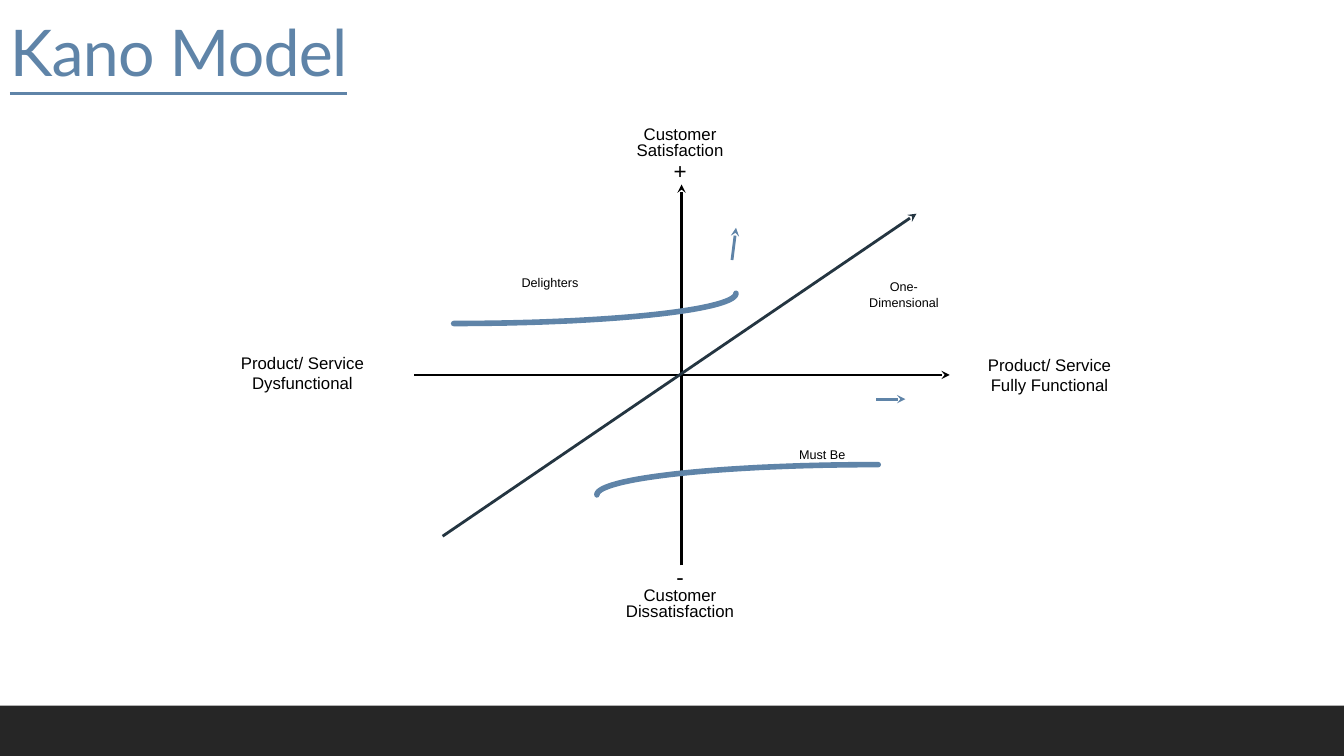
from math import cos, pi, sin

from lxml import etree
from pptx import Presentation
from pptx.dml.color import RGBColor
from pptx.enum.shapes import MSO_CONNECTOR, MSO_SHAPE
from pptx.enum.text import MSO_ANCHOR, PP_ALIGN
from pptx.oxml.ns import qn
from pptx.util import Pt

PX = 9144  # 100 px to the inch
RECTANGLE = MSO_SHAPE.RECTANGLE
STRAIGHT = MSO_CONNECTOR.STRAIGHT
MIDDLE, BOTTOM = MSO_ANCHOR.MIDDLE, MSO_ANCHOR.BOTTOM
CENTER = PP_ALIGN.CENTER

BLACK = RGBColor(0x00, 0x00, 0x00)
CHARCOAL = RGBColor(0x26, 0x26, 0x26)
NAVY = RGBColor(0x24, 0x35, 0x41)
STEEL = RGBColor(0x5F, 0x84, 0xA8)

# Positions are relative to the point where the axes cross.
# Each paragraph: text, size, line spacing, space before.
LABELS = [
    ((-81, -247, 159, 58), [("Customer Satisfaction", 12, 0.8, 0), ("+", 16, 0.6, 5)]),
    ((-104, 197, 205, 47), [("-", 16, 0.5, 0), ("Customer", 12, 0.5, 4),
                            ("Dissatisfaction", 12, 0.5, 4)]),
    ((256, -20, 218, 40), [("Product/ Service\vFully Functional", 12, 1.0, 0)]),
    ((-485, -22, 218, 40), [("Product/ Service\vDysfunctional", 12, 1.0, 0)]),
    ((121, -95, 199, 30), [("One-\vDimensional", 9, 1.0, 0)]),
    ((-230, -99, 199, 15), [("Delighters", 9, 1.0, 0)]),
    ((40, 71, 199, 15), [("Must Be", 9, 1.0, 0)]),
]
ARROWS = [
    ((-265, 0), (266, 0), BLACK),
    ((0, 189), (0, -189), BLACK),
    ((-237, 160), (233, -160), NAVY),
    ((50, -114), (54, -146), STEEL),
    ((193, 24), (222, 24), STEEL),
]
CURVES = [((54, -81), (-226, -51)), ((-84, 119), (195, 89))]  # steep end, flat end
CURVE_STEPS = 40


def emu(*lengths):
    return [round(n * PX) for n in lengths]


def draw_footer(s, box):
    sp = s.shapes.add_shape(RECTANGLE, *emu(*box))
    sp.shadow.inherit = False
    sp.fill.solid()
    sp.fill.fore_color.rgb = CHARCOAL
    sp.line.fill.background()


def draw_title(s, box):
    tf = s.shapes.add_textbox(*emu(*box)).text_frame
    tf.word_wrap = True
    tf.vertical_anchor = BOTTOM
    p = tf.paragraphs[0]
    r = p.add_run()
    r.text = "Kano Model"
    r._r.get_or_add_rPr().set("spc", "-50")
    p.line_spacing = 0.9
    p.font.name = "Lato"
    p.font.size = Pt(46)
    p.font.underline = True
    p.font.color.rgb = STEEL


def add_label(s, box, paragraphs):
    tf = s.shapes.add_textbox(*emu(*box)).text_frame
    tf.word_wrap = True
    tf.vertical_anchor = MIDDLE
    tf.margin_left = tf.margin_top = tf.margin_right = tf.margin_bottom = 0
    for i, (text, size, spacing, before) in enumerate(paragraphs):
        p = tf.add_paragraph() if i else tf.paragraphs[0]
        p.text = text
        p.alignment = CENTER
        p.line_spacing = spacing
        p.space_before = Pt(before)
        p.font.name = "Arial"
        p.font.size = Pt(size)
        p.font.color.rgb = BLACK


def add_arrow(s, start, end, color):
    line = s.shapes.add_connector(STRAIGHT, *emu(*start, *end))
    line.line.color.rgb = color
    line.line.width = Pt(2)
    etree.SubElement(line.line._get_or_add_ln(), qn("a:tailEnd"), type="stealth")
    etree.SubElement(line._element.spPr, qn("a:effectLst"))


def add_curve(s, tip, flat):
    """Draw a quarter ellipse that is upright at tip and level at flat."""
    (tx, ty), (fx, fy) = tip, flat
    angles = [pi / 2 * i / CURVE_STEPS for i in range(CURVE_STEPS + 1)]
    points = [emu(fx + (tx - fx) * cos(a), ty + (fy - ty) * sin(a)) for a in angles]
    builder = s.shapes.build_freeform(*points[0])
    builder.add_line_segments(points[1:], close=False)
    sp = builder.convert_to_shape()
    sp.shadow.inherit = False
    sp.fill.background()
    sp.line.color.rgb = STEEL
    sp.line.width = Pt(4)
    ln = sp.line._get_or_add_ln()
    ln.set("cap", "rnd")
    etree.SubElement(ln, qn("a:round"))


def draw_kano(s, box):
    x, y, w, h = box
    cx, cy = x + 485, y + 247

    def at(point):
        return cx + point[0], cy + point[1]

    for (dx, dy, width, height), paragraphs in LABELS:
        add_label(s, (*at((dx, dy)), width, height), paragraphs)
    for start, end, color in ARROWS:
        add_arrow(s, at(start), at(end), color)
    for tip, flat in CURVES:
        add_curve(s, at(tip), at(flat))


def main():
    prs = Presentation()
    prs.slide_width, prs.slide_height = emu(1333, 750)
    s = prs.slides.add_slide(prs.slide_layouts[6])
    draw_footer(s, (0, 700, 1333, 50))
    draw_title(s, (0, 3, 1100, 92))
    draw_kano(s, (191, 125, 959, 491))
    prs.save("out.pptx")


if __name__ == "__main__":
    main()
